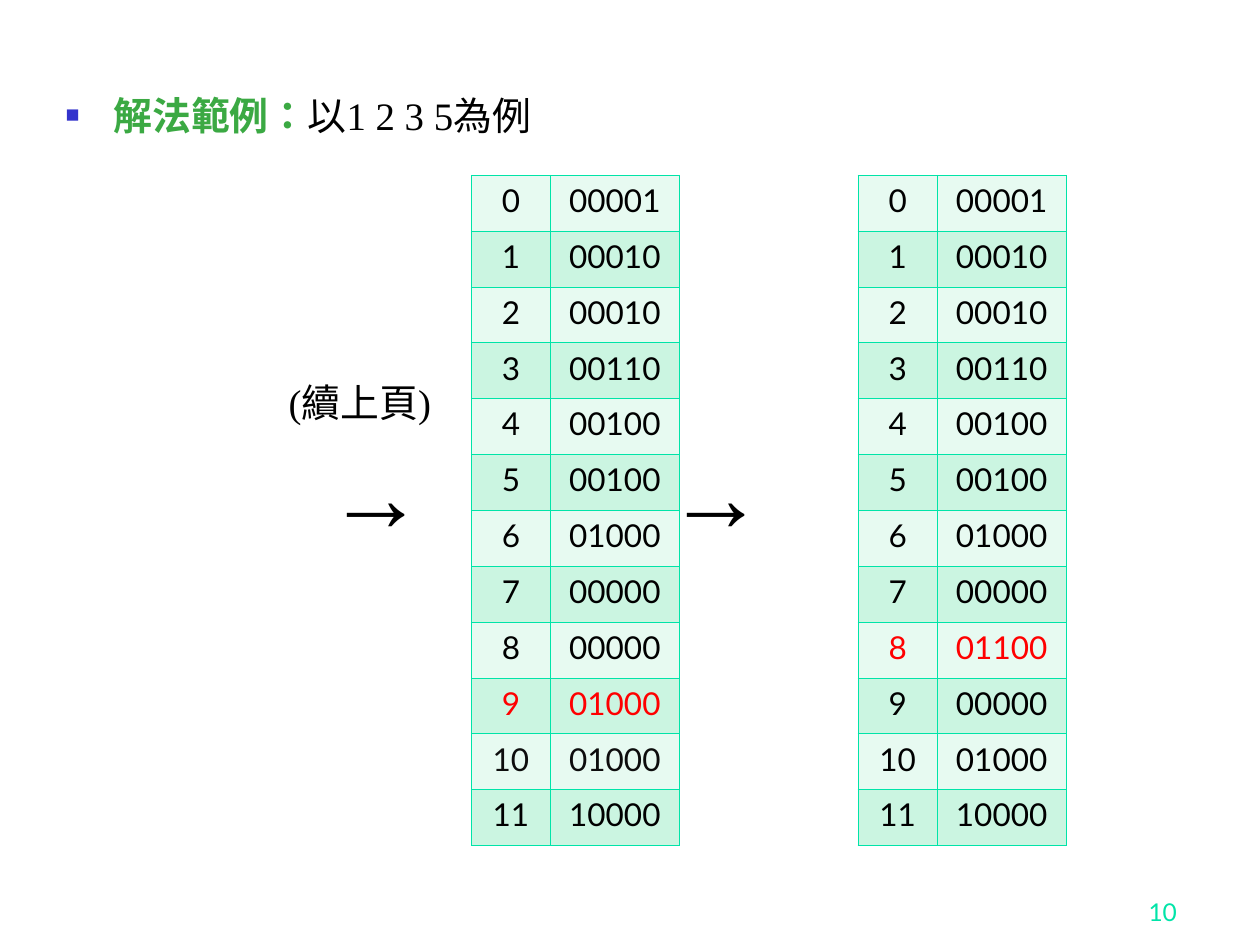
from lxml import etree
from pptx import Presentation
from pptx.dml.color import RGBColor
from pptx.enum.text import MSO_ANCHOR, MSO_AUTO_SIZE, PP_ALIGN
from pptx.oxml import parse_xml
from pptx.oxml.ns import qn
from pptx.util import Inches, Pt

COLORS = {
    "heading": "3BA943", "bullet": "3333CC", "text": "000000", "soft": "0D0D0D",
    "changed": "FF0000", "accent": "00E4A8", "light": "E7FAF1", "dark": "CBF5E1",
}
NS = 'xmlns:a="http://schemas.openxmlformats.org/drawingml/2006/main"'


def style(r, font, size, color, bold=False):
    r.font.name = font
    r.font.size = Pt(size)
    r.font.bold = bold
    r.font.color.rgb = RGBColor.from_string(COLORS[color])


def add_borders(cell):
    tcPr = cell._tc.get_or_add_tcPr()
    for i, side in enumerate(("lnL", "lnR", "lnT", "lnB")):
        tcPr.insert(i, parse_xml(
            f'<a:{side} {NS} w="{Pt(0.45)}"><a:solidFill>'
            f'<a:srgbClr val="{COLORS["accent"]}"/></a:solidFill></a:{side}>'))


prs = Presentation()
prs.slide_width, prs.slide_height = Inches(10), Inches(7.5)
s = prs.slides.add_slide(prs.slide_layouts[1])
title = s.shapes.title._element
title.getparent().remove(title)

# Body: heading and continuation note
body = s.placeholders[1]
body.left, body.top = Inches(0.42), Inches(0.75)
body.width, body.height = Inches(8.83), Inches(6.15)
tf = body.text_frame
tf.auto_size = MSO_AUTO_SIZE.NONE
tf.text = "解法範例：\n(續上頁)"
heading, note = tf.paragraphs
heading.add_run().text = "以1 2 3 5為例"

# Left margin, first-line indent, space before
for p, margin, indent, before in ((heading, 0.38, -0.38, 0), (note, 0, 1.77, 142.5)):
    pPr = p._p.get_or_add_pPr()
    pPr.set("marL", str(Inches(margin)))
    pPr.set("indent", str(Inches(indent)))
    if p is heading:
        for xml in (f'<a:buClr {NS}><a:srgbClr val="{COLORS["bullet"]}"/></a:buClr>',
                    f'<a:buSzPct {NS} val="60000"/>',
                    f'<a:buChar {NS} char="■"/>'):
            pPr.append(parse_xml(xml))
    else:
        etree.SubElement(pPr, qn("a:buNone"))
    p.line_spacing = 0.8
    p.space_before = Pt(before)
    for r in p.runs:
        style(r, "Times New Roman", 22.2, "text")
        r._r.get_or_add_rPr().set("lang", "zh-TW")
style(heading.runs[0], "Times New Roman", 22.2, "heading", bold=True)

# Bit tables: the second changes rows 8 and 9
first = ["00001", "00010", "00010", "00110", "00100", "00100",
         "01000", "00000", "00000", "01000", "01000", "10000"]
second = first[:8] + ["01100", "00000"] + first[10:]
tables = ((3.74, first, {9: "changed", 10: "soft"}), (6.81, second, {8: "changed"}))
for left, bits, row_colors in tables:
    table = s.shapes.add_table(len(bits), 2, Inches(left), Inches(1.39),
                               Inches(1.65), Inches(5.32)).table
    table.first_row = table.horz_banding = False
    table.columns[0].width, table.columns[1].width = Inches(0.63), Inches(1.02)
    for i, value in enumerate(bits):
        for cell, text in zip(table.rows[i].cells, (str(i), value)):
            cell.text = text
            cell.fill.solid()
            cell.fill.fore_color.rgb = RGBColor.from_string(
                COLORS["dark" if i % 2 else "light"])
            add_borders(cell)
            p = cell.text_frame.paragraphs[0]
            p.alignment = PP_ALIGN.CENTER
            style(p.runs[0], "Lato", 18, row_colors.get(i, "text"))

# Text arrows leading into each table
for left in (2.5, 5.2):
    tf = s.shapes.add_textbox(Inches(left), Inches(3.58), Inches(1.1), Inches(0.9)).text_frame
    tf.word_wrap = True
    tf.text = "→"
    p = tf.paragraphs[0]
    p.line_spacing = 0.8
    style(p.runs[0], "Times New Roman", 55.5, "text")

# Page number
tf = s.shapes.add_textbox(Inches(7.36), Inches(6.9), Inches(2.08), Inches(0.5)).text_frame
tf.word_wrap = True
tf.vertical_anchor = MSO_ANCHOR.BOTTOM
tf.text = "10"
p = tf.paragraphs[0]
p.alignment = PP_ALIGN.RIGHT
style(p.runs[0], "Lato", 14, "accent")

prs.save("out.pptx")
